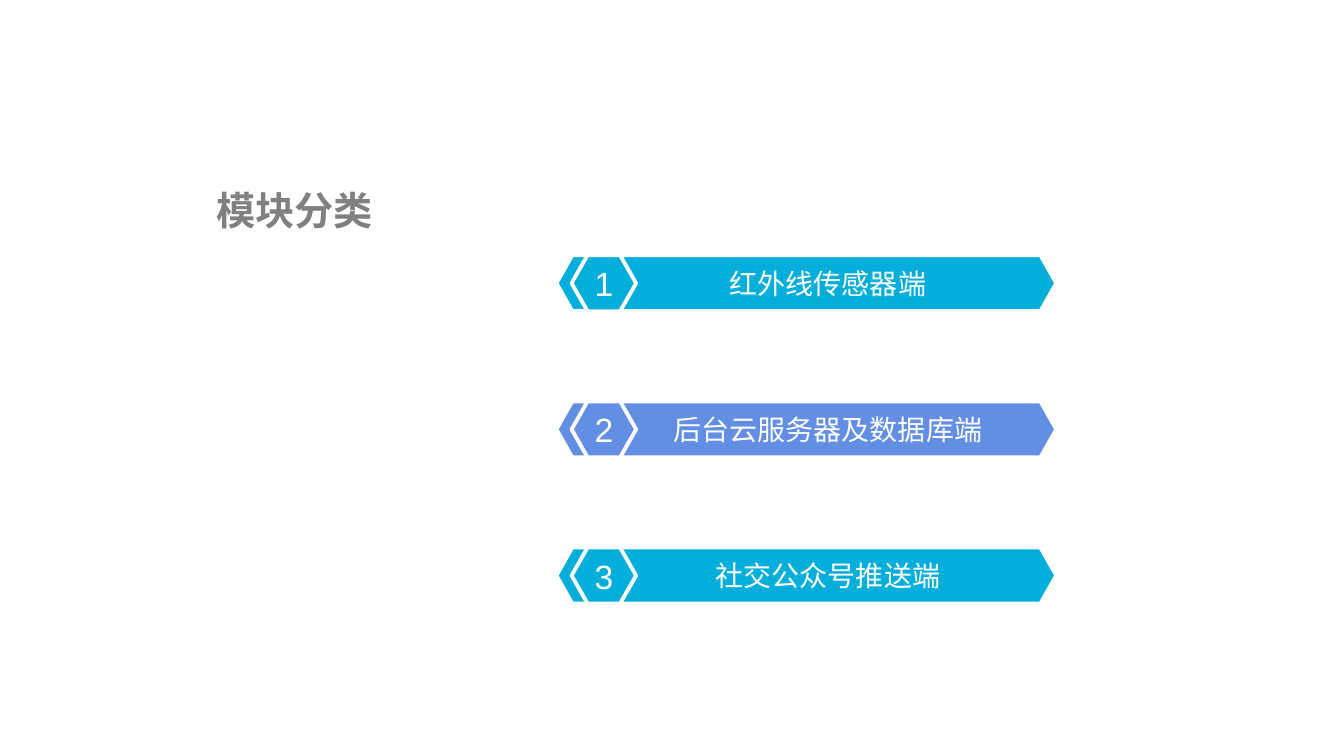
import pptx
import pptx.dml.color
import pptx.enum.shapes
import pptx.enum.text
import pptx.util
from dataclasses import dataclass

Pt = pptx.util.Pt


@dataclass(frozen=True)
class Theme:
    font: str = "Arial"
    white: str = "FFFFFF"
    heading: str = "808080"
    cyan: str = "04AEDA"
    blue: str = "628EE3"
    heading_size: float = 28
    number_size: float = 24
    label_size: float = 20
    outline: float = 2.75


class SlideBuilder:
    def __init__(self, slide, theme):
        self.slide = slide
        self.theme = theme

    def add_words(self, shape, words, size, color, bold=False, insets=(0, 0, 0, 0)):
        """Put one centred run in the shape; insets are left, top, right, bottom."""
        frame = shape.text_frame
        frame.word_wrap = True
        (frame.margin_left, frame.margin_top,
         frame.margin_right, frame.margin_bottom) = map(Pt, insets)
        paragraph = frame.paragraphs[0]
        paragraph.alignment = pptx.enum.text.PP_ALIGN.CENTER
        run = paragraph.add_run()
        run.text = words
        run.font.name = self.theme.font
        run.font.size = Pt(size)
        run.font.bold = bold
        run.font.color.rgb = pptx.dml.color.RGBColor.from_string(color)

    def paint(self, shape, fill):
        shape.shadow.inherit = False
        shape.fill.solid()
        shape.fill.fore_color.rgb = pptx.dml.color.RGBColor.from_string(fill)
        shape.line.color.rgb = pptx.dml.color.RGBColor.from_string(self.theme.white)
        shape.line.width = Pt(self.theme.outline)
        shape.text_frame.vertical_anchor = pptx.enum.text.MSO_ANCHOR.MIDDLE

    def heading(self, words, left, top, width, height):
        box = self.slide.shapes.add_textbox(Pt(left), Pt(top), Pt(width), Pt(height))
        self.add_words(box, words, self.theme.heading_size, self.theme.heading,
                       bold=True, insets=(7.2, 3.6, 7.2, 3.6))

    def label_bar(self, shapes, label, fill, left, top, width, height):
        bar = shapes.add_shape(pptx.enum.shapes.MSO_SHAPE.HEXAGON,
                               Pt(left), Pt(top), Pt(width), Pt(height))
        bar.adjustments[0] = 0.282
        self.paint(bar, fill)
        self.add_words(bar, label, self.theme.label_size, self.theme.white,
                       insets=(36.7, 0, 5.8, 0))

    def number_badge(self, shapes, number, fill, left, top, width, height):
        point = 11.4
        right, bottom, middle = left + width, top + height, top + height / 2
        outline = shapes.build_freeform(Pt(left + point), Pt(top))
        outline.add_line_segments(
            [(Pt(x), Pt(y)) for x, y in (
                (right - point, top), (right, middle), (right - point, bottom),
                (left + point, bottom), (left, middle))],
            close=True)
        badge = outline.convert_to_shape()
        self.paint(badge, fill)
        self.add_words(badge, str(number), self.theme.number_size, self.theme.white)

    def module_row(self, number, label, fill, left, top):
        height = 40
        row = self.slide.shapes.add_group_shape().shapes
        self.label_bar(row, label, fill, left, top, 357, height)
        self.number_badge(row, number, fill, left + 10.8, top, 46.1, height)


def main():
    deck = pptx.Presentation()
    deck.slide_width, deck.slide_height = Pt(960), Pt(540)
    theme = Theme()
    builder = SlideBuilder(deck.slides.add_slide(deck.slide_layouts[6]), theme)

    modules = [
        ("红外线传感器端", theme.cyan),
        ("后台云服务器及数据库端", theme.blue),
        ("社交公众号推送端", theme.cyan),
    ]
    for index, (label, fill) in enumerate(modules):
        builder.module_row(index + 1, label, fill, 397.5, 182.3 + index * 104.4)
    builder.heading("模块分类", 111, 129.6, 198.7, 41)

    deck.save("out.pptx")


if __name__ == "__main__":
    main()
